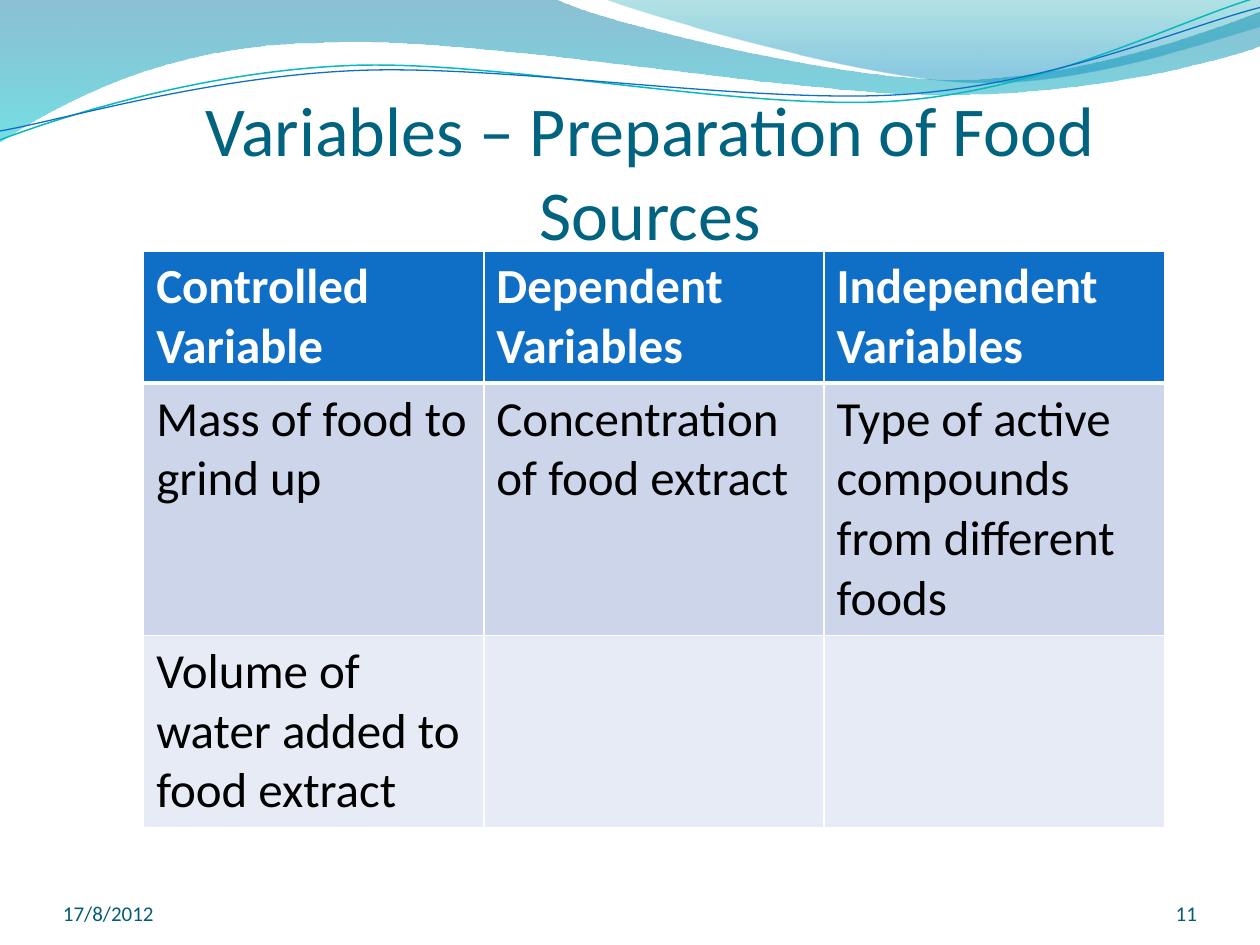
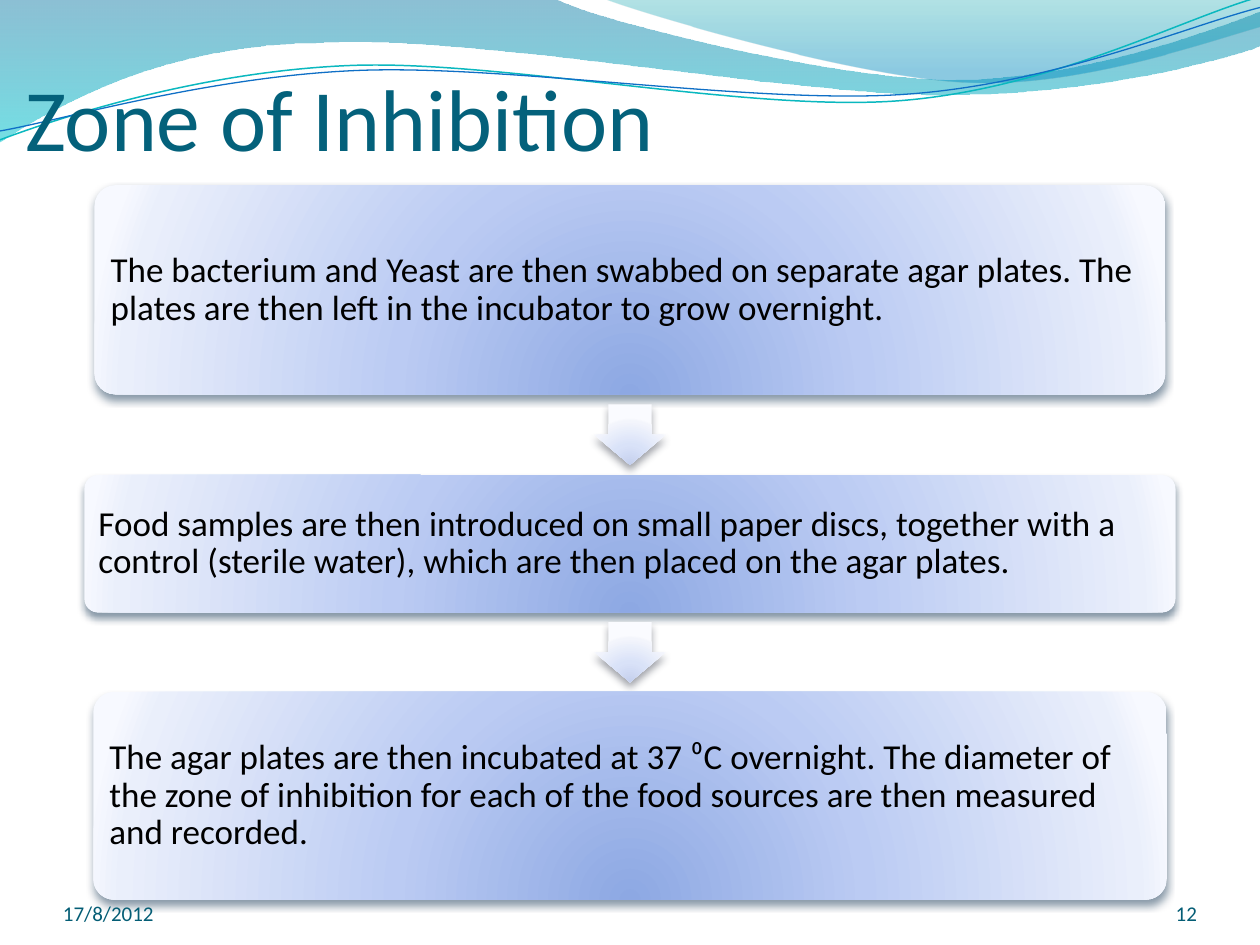
from dataclasses import dataclass
from math import cos, radians, sin

from lxml import etree
from pptx import Presentation
from pptx.dml.color import RGBColor
from pptx.enum.shapes import MSO_SHAPE
from pptx.enum.text import MSO_ANCHOR, MSO_AUTO_SIZE, PP_ALIGN
from pptx.oxml.ns import qn
from pptx.util import Emu, Pt

PX = 9144
LEFT, CENTER, RIGHT = PP_ALIGN.LEFT, PP_ALIGN.CENTER, PP_ALIGN.RIGHT
TOP, MIDDLE, BOTTOM = MSO_ANCHOR.TOP, MSO_ANCHOR.MIDDLE, MSO_ANCHOR.BOTTOM
ROUNDED, ARROW = MSO_SHAPE.ROUNDED_RECTANGLE, MSO_SHAPE.RIGHT_ARROW
NO_AUTOFIT = MSO_AUTO_SIZE.NONE


@dataclass(frozen=True)
class Theme:
    font: str = "Calibri"
    white: str = "FFFFFF"
    black: str = "000000"
    table_title: str = "00637F"
    flow_title: str = "04617B"
    footer: str = "045D75"
    header_fill: str = "0F6FC6"
    row_fills: tuple = ("CCD5EA", "E7EBF5")
    step_stops: tuple = ((0, "8DA8E3", 100), (43, "BBCBF3", 100),
                         (93, "EAEFFB", 100), (100, "F7F9FF", 100))
    arrow_stops: tuple = ((0, "C5D0EE", 100), (43, "D9E2F8", 100),
                          (93, "F3F5FC", 100), (100, "FAFBFF", 100))
    step_shadow: str = "042747"
    arrow_shadow: str = "3C414F"
    table_title_size: int = 40
    flow_title_size: int = 50
    table_size: int = 28
    step_size: int = 20
    footer_size: int = 12


THEME = Theme()

FILLED_WAVES = [
    {"start": (0, -1),
     "segments": [(440, -1), (476, 17, 664, 63, 758, 63),
                  (853, 63, 958, 26, 1000, 9), (1001, 36),
                  (983, 44, 870, 76, 746, 75), (622, 75, 382, 28, 257, 34),
                  (129, 35, 46, 83, -1, 113)],
     "stops": [(0, "0074A1", 45), (100, "00C6CF", 55)]},
    {"start": (479, -1),
     "segments": [(509, 11, 682, 62, 769, 65), (856, 69, 961, 32, 1000, 21),
                  (1000, 0)],
     "stops": [(0, "00A1A9", 30), (80, "008BBF", 45)]},
]
LINE_WAVES = [
    {"start": (0, 111),
     "segments": [(48, 93, 158, 57, 277, 52), (395, 47, 593, 89, 713, 80),
                  (833, 71, 938, 15, 998, -2)],
     "center": (499, 57), "color": "0AB8BF", "width": 0.85},
    {"start": (0, 104),
     "segments": [(47, 96, 164, 61, 283, 56), (403, 51, 597, 83, 717, 75),
                  (836, 67, 941, 21, 1000, 6)],
     "center": (500, 59), "color": "0F6FC6", "width": 0.75},
]
WAVE_TILT = 2.7
DATE = "17/8/2012"
VARIABLES = [
    ["Controlled Variable", "Dependent Variables", "Independent Variables"],
    ["Mass of food to grind up", "Concentration of food extract",
     "Type of active compounds from different foods"],
    ["Volume of water added to food extract", "", ""],
]
ROW_HEIGHTS = [103, 150, 150]
COLUMN_WIDTH = 270
STEPS = [
    ("The bacterium and Yeast are then swabbed on separate agar plates. "
     "The plates are then left in the incubator to grow overnight.", 147, 850, 166),
    ("Food samples are then introduced on small paper discs, together with a "
     "control (sterile water), which are then placed on the agar plates.", 377, 866, 109),
    ("The agar plates are then incubated at 37 ⁰C overnight. The diameter of "
     "the zone of inhibition for each of the food sources are then measured "
     "and recorded.", 549, 852, 165),
]
SLIDE_MIDDLE = 500
ARROW_LENGTH, ARROW_BREADTH = 48, 57


def px(*lengths):
    return [Emu(round(length * PX)) for length in lengths]


def child(parent, tag, **attributes):
    return etree.SubElement(parent, qn(tag), {k: str(v) for k, v in attributes.items()})


def add_color(parent, color, opacity=100):
    element = child(parent, "a:srgbClr", val=color)
    if opacity < 100:
        child(element, "a:alpha", val=opacity * 1000)


def write(frame, text, size, color, bold=False, align=LEFT, anchor=TOP,
          insets=(0, 0, 0, 0), spacing=None):
    frame.word_wrap = True
    frame.auto_size = NO_AUTOFIT
    frame.vertical_anchor = anchor
    (frame.margin_left, frame.margin_top,
     frame.margin_right, frame.margin_bottom) = px(*insets)
    paragraph = frame.paragraphs[0]
    paragraph.alignment = align
    if spacing:
        paragraph.line_spacing = spacing
    run = paragraph.add_run()
    run.text = text
    run.font.name = THEME.font
    run.font.size = Pt(size)
    run.font.bold = bold
    run.font.color.rgb = RGBColor.from_string(color)


def fill_gradient(shape, stops, radial=False):
    shape.fill.background()
    properties = shape.element.spPr
    gradient = etree.Element(qn("a:gradFill"), rotWithShape="1")
    stop_list = child(gradient, "a:gsLst")
    for position, color, opacity in stops:
        add_color(child(stop_list, "a:gs", pos=position * 1000), color, opacity)
    if radial:
        route = child(gradient, "a:path", path="circle")
        child(route, "a:fillToRect", l=50000, t=130000, r=50000, b=-30000)
    else:
        child(gradient, "a:lin", ang=5400000, scaled=1)
    properties.replace(properties.find(qn("a:noFill")), gradient)


def add_shadow(shape, color):
    shape.shadow.inherit = False
    effects = shape.element.spPr.find(qn("a:effectLst"))
    shadow = child(effects, "a:outerShdw", blurRad=Pt(4.5), dist=Pt(3),
                   dir=5400000, rotWithShape=0)
    add_color(shadow, color, 48)


def turn(point, center, degrees):
    angle = radians(degrees)
    x, y = point[0] - center[0], point[1] - center[1]
    return (center[0] + x * cos(angle) - y * sin(angle),
            center[1] + x * sin(angle) + y * cos(angle))


def add_wave(slide, wave, close):
    points = [wave["start"]]
    for segment in wave["segments"]:
        points.extend(zip(segment[::2], segment[1::2]))
    if "center" in wave:
        points = [turn(point, wave["center"], WAVE_TILT) for point in points]
    points = [tuple(px(*point)) for point in points]
    builder = slide.shapes.build_freeform(*points[0])
    builder.add_line_segments(points[1:], close=close)
    shape = builder.convert_to_shape()
    shape.shadow.inherit = False
    lines = iter(list(shape.element.spPr.iter(qn("a:lnTo"))))
    for segment in wave["segments"]:
        line = next(lines)
        if len(segment) == 6:
            curve = etree.Element(qn("a:cubicBezTo"))
            line.getparent().replace(line, curve)
            for part in (line, next(lines), next(lines)):
                if part.getparent() is not None:
                    part.getparent().remove(part)
                curve.append(part[0])
    return shape


def add_master_waves(slide):
    waves = []
    for wave in FILLED_WAVES:
        shape = add_wave(slide, wave, True)
        fill_gradient(shape, wave["stops"])
        shape.line.fill.background()
        waves.append(shape)
    for wave in LINE_WAVES:
        shape = add_wave(slide, wave, False)
        shape.rotation = 360 - WAVE_TILT
        shape.fill.background()
        shape.line.color.rgb = RGBColor.from_string(wave["color"])
        shape.line.width = Pt(wave["width"])
        waves.append(shape)
    master_shapes = slide.slide_layout.slide_master.shapes
    for index, shape in enumerate(waves):
        shape.element.nvSpPr.cNvPr.set("id", str(20 + index))
        master_shapes.element.insert(2 + index, shape.element)


def set_title(slide, text, box, **text_format):
    title = slide.shapes.title
    title.left, title.top, title.width, title.height = px(*box)
    write(title.text_frame, text, anchor=BOTTOM, insets=(0, 5, 0, 0), **text_format)


def add_footer(slide, number):
    for text, left, width, align in ((DATE, 50, 233, LEFT), (str(number), 867, 83, RIGHT)):
        box = slide.shapes.add_textbox(*px(left, 695, width, 40))
        write(box.text_frame, text, THEME.footer_size, THEME.footer,
              align=align, anchor=BOTTOM)


def set_borders(cell, top, bottom):
    properties = cell._tc.get_or_add_tcPr()
    sides = (("a:lnL", 1), ("a:lnR", 1), ("a:lnT", top), ("a:lnB", bottom))
    for index, (tag, width) in enumerate(sides):
        line = etree.Element(qn(tag), w=str(Pt(width)))
        add_color(child(line, "a:solidFill"), THEME.white)
        properties.insert(index, line)


def add_variables_table(slide):
    columns = len(VARIABLES[0])
    table = slide.shapes.add_table(
        len(VARIABLES), columns,
        *px(114, 199, COLUMN_WIDTH * columns, sum(ROW_HEIGHTS))).table
    for column in table.columns:
        column.width = px(COLUMN_WIDTH)[0]
    for row, texts in enumerate(VARIABLES):
        table.rows[row].height = px(ROW_HEIGHTS[row])[0]
        header = row == 0
        fill = THEME.header_fill if header else THEME.row_fills[(row - 1) % 2]
        for column, text in enumerate(texts):
            cell = table.cell(row, column)
            cell.fill.solid()
            cell.fill.fore_color.rgb = RGBColor.from_string(fill)
            set_borders(cell, 3 if row == 1 else 1, 3 if header else 1)
            (cell.margin_left, cell.margin_top,
             cell.margin_right, cell.margin_bottom) = px(10, 5, 10, 5)
            if text:
                write(cell.text_frame, text, THEME.table_size,
                      THEME.white if header else THEME.black, bold=header,
                      insets=(10, 5, 10, 5))


def add_flow_shape(slide, kind, box, adjustments, stops, shadow):
    shape = slide.shapes.add_shape(kind, *px(*box))
    for index, value in enumerate(adjustments):
        shape.adjustments[index] = value
    fill_gradient(shape, stops, radial=True)
    shape.line.fill.background()
    add_shadow(shape, shadow)
    return shape


def add_flow(slide):
    previous_bottom = None
    for text, top, width, height in STEPS:
        if previous_bottom is not None:
            arrow_box = (SLIDE_MIDDLE - ARROW_LENGTH / 2,
                         (previous_bottom + top - ARROW_BREADTH) / 2,
                         ARROW_LENGTH, ARROW_BREADTH)
            arrow = add_flow_shape(slide, ARROW, arrow_box, (0.6, 0.5),
                                   THEME.arrow_stops, THEME.arrow_shadow)
            arrow.rotation = 90
        step_box = (SLIDE_MIDDLE - width / 2, top, width, height)
        step = add_flow_shape(slide, ROUNDED, step_box, (0.1,),
                              THEME.step_stops, THEME.step_shadow)
        write(step.text_frame, text, THEME.step_size, THEME.black,
              anchor=MIDDLE, insets=(8, 8, 8, 8), spacing=0.9)
        previous_bottom = top + height


def main():
    presentation = Presentation()
    presentation.slide_width, presentation.slide_height = px(1000, 750)
    layout = presentation.slide_layouts.get_by_name("Title Only")

    variables_slide = presentation.slides.add_slide(layout)
    add_master_waves(variables_slide)
    set_title(variables_slide, "Variables – Preparation of Food Sources",
              (106, 77, 820, 125), size=THEME.table_title_size,
              color=THEME.table_title, align=CENTER)
    add_footer(variables_slide, 11)
    add_variables_table(variables_slide)

    inhibition_slide = presentation.slides.add_slide(layout)
    set_title(inhibition_slide, "Zone of Inhibition", (20, 28, 880, 106),
              size=THEME.flow_title_size, color=THEME.flow_title)
    add_flow(inhibition_slide)
    add_footer(inhibition_slide, 12)

    presentation.save("out.pptx")


if __name__ == "__main__":
    main()
